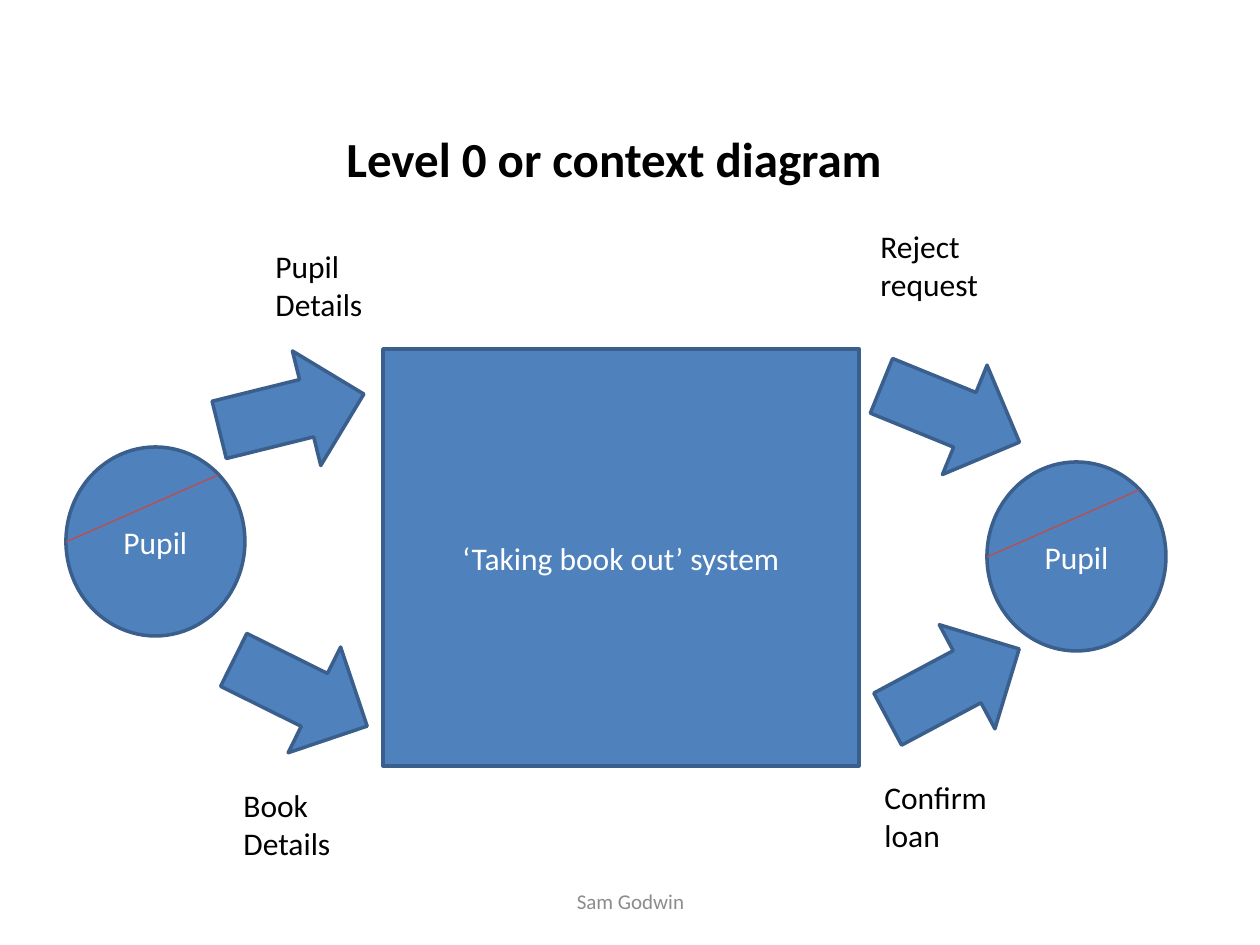
from lxml.etree import SubElement
from pptx import Presentation
from pptx.dml.color import RGBColor
from pptx.enum.shapes import MSO_CONNECTOR, MSO_SHAPE
from pptx.enum.text import MSO_ANCHOR, PP_ALIGN
from pptx.oxml.ns import qn
from pptx.util import Emu, Pt

COLORS = {
    "fill": "4F81BD",
    "outline": "3A5F8C",
    "strike": "BF4C48",
    "dark": "000000",
    "light": "FFFFFF",
    "footer": "8C8C8C",
}
FONT = "Calibri"
ENTITY_SIZE = (179, 189)
ARROW_SIZE = (149, 118)
LABEL_SIZE = (169, 89)


def px(length):
    return Emu(round(length * 914400 / 126))


def color(name):
    return RGBColor.from_string(COLORS[name])


def write(shape, text, size, ink, align=PP_ALIGN.LEFT, anchor=MSO_ANCHOR.TOP, bold=False):
    frame = shape.text_frame
    frame.word_wrap = True
    frame.vertical_anchor = anchor
    para = frame.paragraphs[0]
    para.alignment = align
    span = para.add_run()
    span.text = text
    span.font.name = FONT
    span.font.size = Pt(size)
    span.font.bold = bold
    span.font.color.rgb = color(ink)


def add_text(page, box, text, size=18, ink="dark", **style):
    write(page.shapes.add_textbox(*map(px, box)), text, size, ink, **style)


def add_block(page, kind, box, text=None, rotation=0):
    """Add a filled, outlined shape, with centred text if given."""
    shape = page.shapes.add_shape(kind, *map(px, box))
    shape.shadow.inherit = False
    shape.rotation = rotation
    shape.fill.solid()
    shape.fill.fore_color.rgb = color("fill")
    shape.line.color.rgb = color("outline")
    shape.line.width = Pt(2)
    if text:
        write(shape, text, 18, "light", PP_ALIGN.CENTER, MSO_ANCHOR.MIDDLE)


def add_entity(page, left, top, text):
    """Add a circle with a slanted line across its upper part."""
    add_block(page, MSO_SHAPE.OVAL, (left, top, *ENTITY_SIZE), text)
    ends = (left, top + 95, left + 152, top + 28)
    line = page.shapes.add_connector(MSO_CONNECTOR.STRAIGHT, *map(px, ends))
    line.line.color.rgb = color("strike")
    line.line.width = Pt(0.75)
    SubElement(line._element.spPr, qn("a:effectLst"))


def main():
    deck = Presentation()
    deck.slide_width, deck.slide_height = px(1260), px(945)
    page = deck.slides.add_slide(deck.slide_layouts[6])

    add_text(page, (334, 122, 575, 72), "Level 0 or context diagram", 28, bold=True)
    add_block(page, MSO_SHAPE.RECTANGLE, (383, 349, 476, 417), "‘Taking book out’ system")

    for kind, left, top, rotation in (
        (MSO_SHAPE.RIGHT_ARROW, 876, 355, 22.2),
        (MSO_SHAPE.RIGHT_ARROW, 879, 625, 331.9),
        (MSO_SHAPE.LEFT_ARROW, 217, 353, 166.1),
        (MSO_SHAPE.LEFT_ARROW, 226, 634, 206.4),
    ):
        add_block(page, kind, (left, top, *ARROW_SIZE), rotation=rotation)

    for left, top in ((66, 447), (987, 462)):
        add_entity(page, left, top, "Pupil")

    for left, top, text in (
        (263, 241, "Pupil Details"),
        (231, 780, "Book Details"),
        (868, 221, "Reject request"),
        (872, 772, "Confirm loan"),
    ):
        add_text(page, (left, top, *LABEL_SIZE), text)

    add_text(page, (431, 876, 399, 50), "Sam Godwin", 12, "footer",
             align=PP_ALIGN.CENTER, anchor=MSO_ANCHOR.MIDDLE)
    deck.save("out.pptx")


if __name__ == "__main__":
    main()
